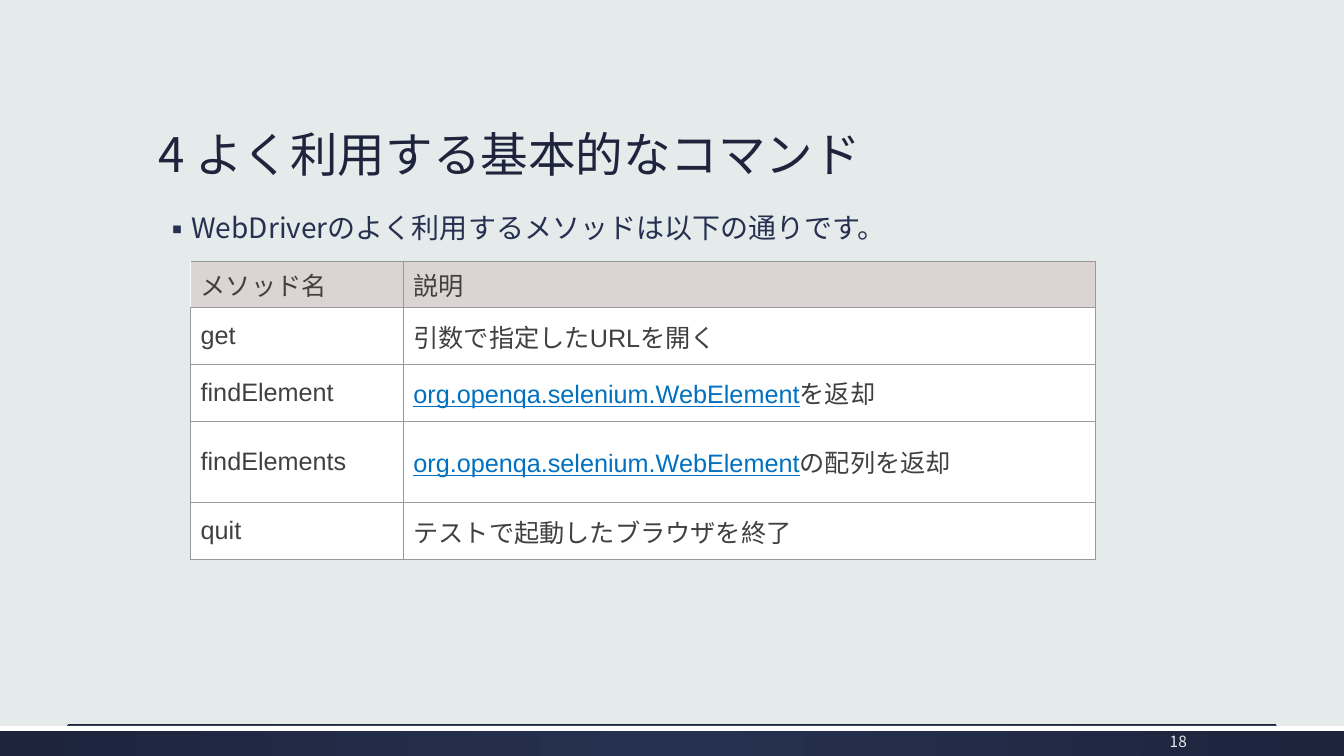
from lxml.etree import SubElement
from pptx import Presentation
from pptx.dml.color import RGBColor
from pptx.enum.shapes import MSO_CONNECTOR as Connector, MSO_SHAPE as Shape
from pptx.enum.text import MSO_ANCHOR as Anchor, MSO_AUTO_SIZE as AutoSize, PP_ALIGN as Align
from pptx.oxml.ns import qn
from pptx.util import Inches, Pt

COLORS = {
    "background": "E5EAEA", "navy": "1D243C", "indigo": "263050", "white": "FFFFFF",
    "number": "E5E8E8", "header": "DCD3D3", "text": "404040", "link": "0070C0", "border": "999999",
}
SANS = "Noto Sans CJK JP"
ELEMENT = ("org.openqa.selenium.WebElement", "link")
METHODS = [
    ("メソッド名", [("説明", "text")]),
    ("get", [("引数で指定したURLを開く", "text")]),
    ("findElement", [ELEMENT, ("を返却", "text")]),
    ("findElements", [ELEMENT, ("の配列を返却", "text")]),
    ("quit", [("テストで起動したブラウザを終了", "text")]),
]
COLUMN_WIDTHS = (2.11, 6.87)
ROW_HEIGHTS = (0.4, 0.51, 0.51, 0.81, 0.51)


def rgb(name):
    """Return a named colour."""
    return RGBColor.from_string(COLORS[name])


def add_span(para, text, size, color, font=SANS):
    """Add a formatted run to a paragraph."""
    span = para.add_run()
    span.text = text
    formats = {"size": Pt(size), "name": font, "bold": False, "underline": color == "link"}
    for name, value in formats.items():
        setattr(span.font, name, value)
    span.font.color.rgb = rgb(color)
    SubElement(span.font._element, qn("a:ea"), typeface=SANS)


def place(box, left, top, width, height, anchor):
    """Position a text box and prepare its frame."""
    for name, value in zip(("left", "top", "width", "height"), (left, top, width, height)):
        setattr(box, name, Inches(value))
    formats = {"word_wrap": True, "auto_size": AutoSize.NONE, "vertical_anchor": anchor}
    for name, value in formats.items():
        setattr(box.text_frame, name, value)
    return box.text_frame.paragraphs[0]


def add_band(page, top, height, color):
    """Add a full-width band."""
    band = page.shapes.add_shape(Shape.RECTANGLE, 0, Inches(top), Inches(13.33), Inches(height))
    band.shadow.inherit = False
    band.line.fill.background()
    band.fill.solid()
    band.fill.fore_color.rgb = rgb(color)
    return band


def add_radial_fill(band, inner, outer):
    """Fill a band with a gradient that spreads from its centre."""
    band.fill.gradient()
    for stop, color in zip(band.fill.gradient_stops, (inner, outer)):
        stop.color.rgb = rgb(color)
    gradient = band._element.spPr.find(qn("a:gradFill"))
    gradient.remove(gradient.find(qn("a:lin")))
    circle = SubElement(gradient, qn("a:path"), path="circle")
    SubElement(circle, qn("a:fillToRect"), l="50000", t="50000", r="50000", b="50000")


def add_rule(page, left, right, top):
    """Add a thin horizontal line."""
    rule = page.shapes.add_connector(
        Connector.STRAIGHT, Inches(left), Inches(top), Inches(right), Inches(top))
    rule.line.color.rgb = rgb("navy")
    rule.line.width = Pt(0.75)
    SubElement(rule._element.spPr, qn("a:effectLst"))


def add_bullet(para):
    """Give a paragraph a square bullet with a hanging indent."""
    settings = para._p.get_or_add_pPr()
    settings.set("marL", str(Inches(0.3)))
    settings.set("indent", str(Inches(-0.25)))
    color = SubElement(settings, qn("a:buClr"))
    SubElement(color, qn("a:srgbClr"), val=COLORS["indigo"])
    SubElement(settings, qn("a:buFont"), typeface=SANS)
    SubElement(settings, qn("a:buChar"), char="▪")


def add_borders(cell, sides):
    """Draw thin lines on the given sides of a cell."""
    settings = cell._tc.get_or_add_tcPr()
    for side in sides:
        line = SubElement(settings, qn(f"a:ln{side}"), w=str(Pt(0.75)))
        fill = SubElement(line, qn("a:solidFill"))
        SubElement(fill, qn("a:srgbClr"), val=COLORS["border"])


def fill_cell(cell, spans, is_header, sides):
    """Write and format a table cell."""
    add_borders(cell, sides)
    cell.fill.solid()
    cell.fill.fore_color.rgb = rgb("header" if is_header else "white")
    cell.vertical_anchor = Anchor.MIDDLE
    if not is_header:
        for side in ("left", "right", "top", "bottom"):
            setattr(cell, f"margin_{side}", Inches(0.1))
    for text, color in spans:
        add_span(cell.text_frame.paragraphs[0], text, 18, color, "Arial")


def add_methods_table(page):
    """Add the table of methods."""
    table = page.shapes.add_table(
        len(METHODS), len(COLUMN_WIDTHS), Inches(1.89), Inches(2.59),
        Inches(sum(COLUMN_WIDTHS)), Inches(sum(ROW_HEIGHTS))).table
    table.first_row = table.horz_banding = False
    for column, width in zip(table.columns, COLUMN_WIDTHS):
        column.width = Inches(width)
    for index, (method, description) in enumerate(METHODS):
        table.rows[index].height = Inches(ROW_HEIGHTS[index])
        is_header = index == 0
        fill_cell(table.cell(index, 0), [(method, "text")], is_header, "RTB" if is_header else "LRTB")
        fill_cell(table.cell(index, 1), description, is_header, "LRTB")


def main():
    """Build the slide and save it."""
    deck = Presentation()
    deck.slide_width, deck.slide_height = Inches(13.33), Inches(7.5)
    page = deck.slides.add_slide(deck.slide_layouts[1])
    page.background.fill.solid()
    page.background.fill.fore_color.rgb = rgb("background")

    add_radial_fill(add_band(page, 7.2, 0.3, "navy"), "indigo", "navy")
    add_band(page, 7.2, 0.05, "white")
    add_rule(page, 0.67, 12.66, 7.19)

    title = place(page.shapes.title, 1.47, 0.51, 10.4, 1.35, Anchor.BOTTOM)
    title.alignment, title.line_spacing = Align.LEFT, 0.9
    add_span(title, "4 よく利用する基本的なコマンド", 34, "navy")

    body = place(page.placeholders[1], 1.47, 2.08, 10.4, 4.51, Anchor.TOP)
    body.line_spacing, body.space_before = 0.9, Pt(18)
    add_bullet(body)
    add_span(body, "WebDriverのよく利用するメソッドは以下の通りです。", 20, "indigo")

    number = place(page.shapes.add_textbox(0, 0, 0, 0), 11.17, 7.23, 0.7, 0.26, Anchor.MIDDLE)
    number.alignment = Align.RIGHT
    add_span(number, "18", 11, "number")

    add_methods_table(page)
    deck.save("out.pptx")


if __name__ == "__main__":
    main()
